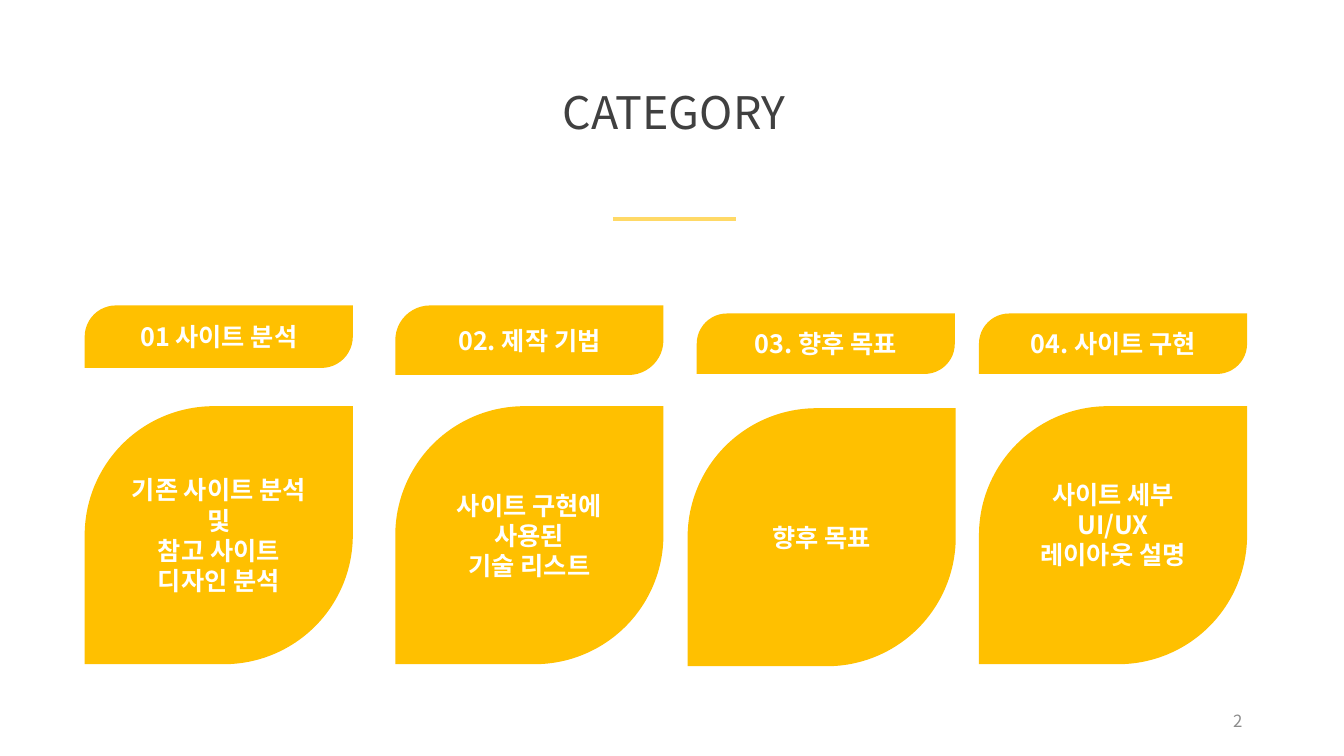
from lxml import etree
from pptx import Presentation
from pptx.dml.color import RGBColor
from pptx.enum.shapes import MSO_CONNECTOR, MSO_SHAPE
from pptx.enum.text import MSO_ANCHOR, PP_ALIGN
from pptx.oxml.ns import qn
from pptx.util import Inches, Pt

LEAF = MSO_SHAPE.ROUND_2_DIAG_RECTANGLE
LINE = MSO_CONNECTOR.STRAIGHT
TOP, MIDDLE = MSO_ANCHOR.TOP, MSO_ANCHOR.MIDDLE
CENTER, RIGHT = PP_ALIGN.CENTER, PP_ALIGN.RIGHT

GOLD = RGBColor(0xFF, 0xC0, 0x00)
PALE = RGBColor(0xFF, 0xD9, 0x66)
WHITE = RGBColor(0xFF, 0xFF, 0xFF)
DARK = RGBColor(0x40, 0x40, 0x40)
GRAY = RGBColor(0x8C, 0x8C, 0x8C)

FONT = "Noto Sans CJK KR"
WIDE, HIGH = Inches(13.33), Inches(7.5)
CARD_W, CARD_H = 19.95, 34.13

CARDS = [
    (6.3, 53.73, [["기존 사이트 분석 및"], ["참고 사이트 디자인 분석"]], 0),
    (29.41, 53.73, [["사이트 구현에 사용된", "기술 리스트"]], 0),
    (51.16, 54, [["향후 목표"]], 0),
    (72.84, 53.73, [["사이트 세부 UI/UX", "레이아웃 설명"]], 2.8),
]
TABS = [
    (6.3, 40.4, CARD_W, 8.27, "01 사이트 분석"),
    (29.41, 40.4, CARD_W, 9.2, "02. 제작 기법"),
    (51.84, 41.47, 19.2, 8, "03. 향후 목표"),
    (72.84, 41.47, CARD_W, 8, "04. 사이트 구현"),
]


def across(share):
    return round(WIDE * share / 100)


def down(share):
    return round(HIGH * share / 100)


def place(left, top, width, height):
    return across(left), down(top), across(width), down(height)


def add_run(para, text, size, color, bold):
    run = para.add_run()
    run.text = text
    font = run.font
    font.size, font.bold, font.name = Pt(size), bold, FONT
    font.color.rgb = color
    east = etree.SubElement(run._r.get_or_add_rPr(), qn("a:ea"))
    east.set("typeface", FONT)


def write(frame, paras, size, color, align=CENTER, anchor=MIDDLE,
          bold=False, space=None):
    frame.word_wrap = True
    frame.vertical_anchor = anchor
    for index, lines in enumerate(paras):
        para = frame.add_paragraph() if index else frame.paragraphs[0]
        para.alignment = align
        para.line_spacing = space
        for row, text in enumerate(lines):
            if row:
                para.add_line_break()
            add_run(para, text, size, color, bold)


def add_leaf(slide, box, paras, lift=0):
    leaf = slide.shapes.add_shape(LEAF, *place(*box))
    leaf.adjustments[0], leaf.adjustments[1] = 0.5, 0
    leaf.shadow.inherit = False
    leaf.fill.solid()
    leaf.fill.fore_color.rgb = GOLD
    leaf.line.fill.background()
    frame = leaf.text_frame
    frame.margin_left = frame.margin_right = frame.margin_top = 0
    frame.margin_bottom = down(lift)
    write(frame, paras, 18, WHITE, bold=True)


def add_label(slide, box, text, size, color, **style):
    label = slide.shapes.add_textbox(*place(*box))
    write(label.text_frame, [[text]], size, color, **style)


def add_rule(slide, start, end, top):
    rule = slide.shapes.add_connector(
        LINE, across(start), down(top), across(end), down(top))
    rule.line.color.rgb = PALE
    rule.line.width = Pt(3)
    etree.SubElement(rule._element.spPr, qn("a:effectLst"))


def main():
    deck = Presentation()
    deck.slide_width, deck.slide_height = WIDE, HIGH
    slide = deck.slides.add_slide(deck.slide_layouts[6])
    add_label(slide, (20.56, 6.93, 59.19, 10.67), "CATEGORY", 32, DARK,
              anchor=TOP, space=1.5)
    add_rule(slide, 45.61, 54.76, 28.93)
    for left, top, width, height, text in TABS:
        add_leaf(slide, (left, top, width, height), [[text]])
    for left, top, paras, lift in CARDS:
        add_leaf(slide, (left, top, CARD_W, CARD_H), paras, lift)
    add_label(slide, (70.67, 92.67, 22.51, 5.33), "2", 12, GRAY, align=RIGHT)
    deck.save("out.pptx")


if __name__ == "__main__":
    main()
